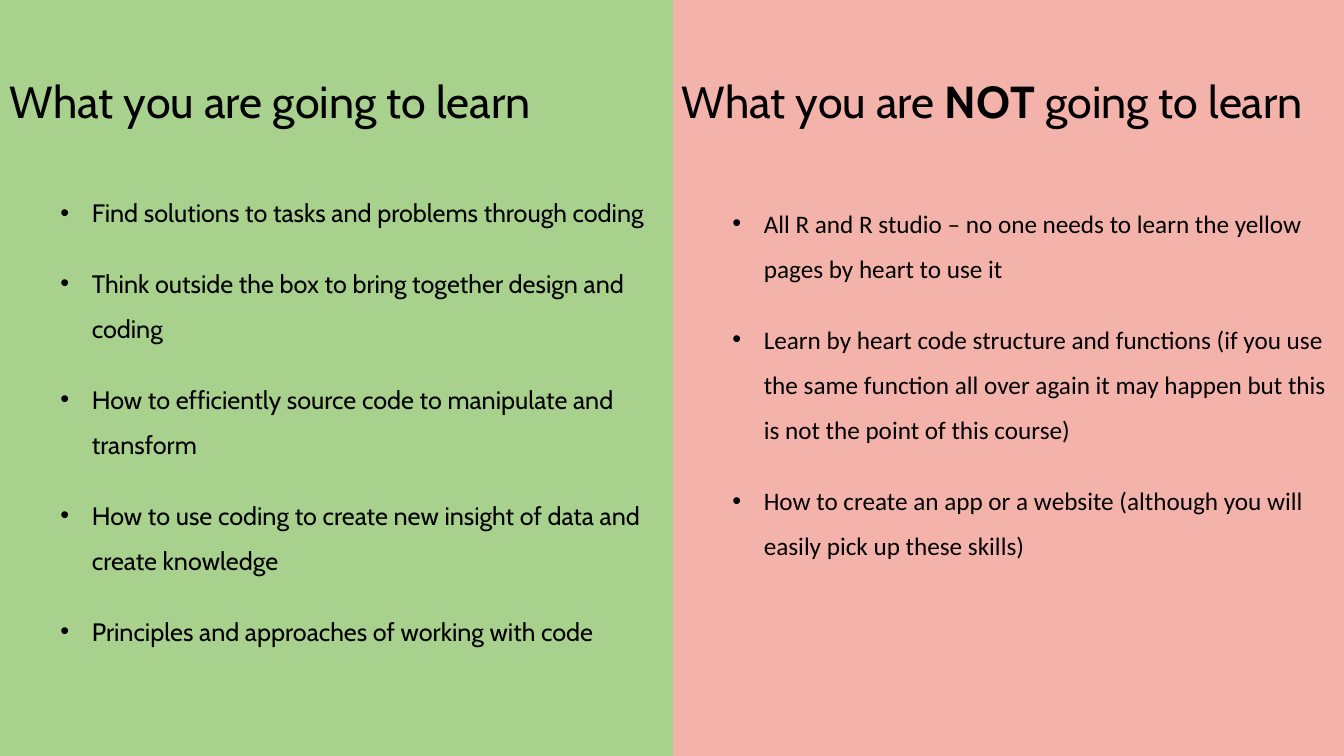
from dataclasses import dataclass

from lxml.etree import SubElement
from pptx import Presentation
from pptx.dml.color import RGBColor
from pptx.enum.shapes import MSO_SHAPE
from pptx.enum.text import MSO_ANCHOR, PP_ALIGN
from pptx.oxml.ns import qn
from pptx.util import Emu, Pt


@dataclass(frozen=True)
class Theme:
    learn: RGBColor = RGBColor.from_string("A9D18E")
    skip: RGBColor = RGBColor.from_string("F4B3AA")
    ink: RGBColor = RGBColor.from_string("000000")
    heading_size: int = 32
    body_size: int = 18
    heading_font: str = "Cabin"
    plain_font: str = "Calibri"


theme = Theme()
PX = 9525
WIDTH, HEIGHT = 1280, 720
HALF = WIDTH // 2
HEADING_TOP, HEADING_HEIGHT = 30, 139
BULLET_INDENT, BULLET_HANG = 78, 30

presentation = Presentation()
presentation.slide_width = Emu(WIDTH * PX)
presentation.slide_height = Emu(HEIGHT * PX)
slide = presentation.slides.add_slide(presentation.slide_layouts[6])


def add_text(paragraphs, left, top, height, *, size, font, spacing,
             after=0, anchor=MSO_ANCHOR.TOP, bullet=None):
    box = slide.shapes.add_textbox(*(Emu(n * PX) for n in (left, top, HALF, height)))
    frame = box.text_frame
    frame.word_wrap = True
    frame.vertical_anchor = anchor
    for index, runs in enumerate(paragraphs):
        paragraph = frame.paragraphs[0] if index == 0 else frame.add_paragraph()
        paragraph.alignment = PP_ALIGN.LEFT
        paragraph.line_spacing = spacing
        paragraph.space_after = Pt(after)
        if bullet:
            properties = paragraph._p.get_or_add_pPr()
            properties.set("marL", str(BULLET_INDENT * PX))
            properties.set("indent", str(-BULLET_HANG * PX))
            SubElement(properties, qn("a:buFont")).set("typeface", "Arial")
            SubElement(properties, qn("a:buChar")).set("char", bullet)
        for words, bold in runs:
            run = paragraph.add_run()
            run.text = words
            run.font.name = font
            run.font.size = Pt(size)
            run.font.bold = bold
            run.font.color.rgb = theme.ink


for left, color in ((HALF, theme.skip), (0, theme.learn)):
    panel = slide.shapes.add_shape(
        MSO_SHAPE.RECTANGLE, Emu(left * PX), 0, Emu(HALF * PX), Emu(HEIGHT * PX))
    panel.shadow.inherit = False
    panel.fill.solid()
    panel.fill.fore_color.rgb = color
    panel.line.color.rgb = color
    panel.line.width = Pt(1)

learn_heading = [("What you are going to learn", False)]
skip_heading = [("What you are ", False), ("NOT", True), (" going to learn", False)]

learn_points = [
    "Find solutions to tasks and problems through coding",
    "Think outside the box to bring together design and coding",
    "How to efficiently source code to manipulate and transform",
    "How to use coding to create new insight of data and create knowledge",
    "Principles and approaches of working with code",
]
skip_points = [
    "All R and R studio – no one needs to learn the yellow pages by heart to use it",
    "Learn by heart code structure and functions (if you use the same function "
    "all over again it may happen but this is not the point of this course)",
    "How to create an app or a website (although you will easily pick up these skills)",
]

columns = [
    (0, learn_heading, learn_points, 169, 509, theme.heading_font),
    (HALF, skip_heading, skip_points, 179, 417, theme.plain_font),
]
for left, heading, points, top, height, font in columns:
    add_text([heading], left, HEADING_TOP, HEADING_HEIGHT, size=theme.heading_size,
             font=theme.heading_font, spacing=0.9, anchor=MSO_ANCHOR.MIDDLE)
    add_text([[(point, False)] for point in points], left, top, height,
             size=theme.body_size, font=font, spacing=1.5, after=18, bullet="•")

presentation.save("out.pptx")
